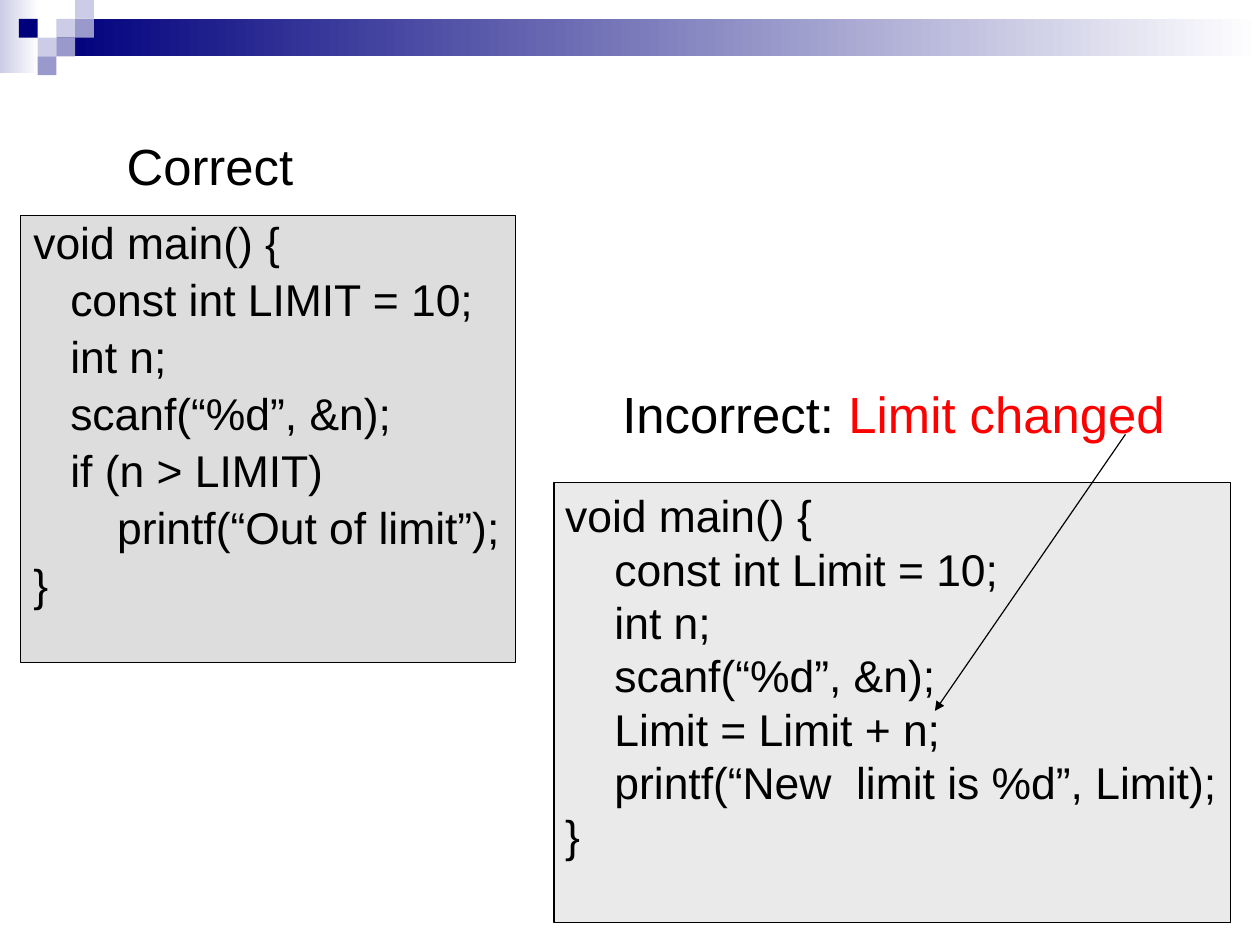
"""Build a slide that sets a correct use of a C constant beside an incorrect one."""
from lxml.etree import SubElement
from pptx import Presentation
from pptx.dml.color import RGBColor
from pptx.enum.shapes import MSO_CONNECTOR as Connector, MSO_SHAPE as Shape
from pptx.enum.text import MSO_ANCHOR as Anchor, MSO_AUTO_SIZE as AutoSize, PP_ALIGN as Align
from pptx.oxml.ns import qn
from pptx.util import Pt

WIDTH, HEIGHT = 793.75, 595.25
BLACK, RED = "000000", "FF0000"
NAVY, MID, PALE, WHITE = "00007D", "9999CC", "CCCCE6", "FFFFFF"

CORRECT_CODE = [
    "void main() {",
    "   const int LIMIT = 10;",
    "   int n;",
    "   scanf(“%d”, &n);",
    "   if (n > LIMIT)",
    "\t   printf(“Out of limit”);",
    "}",
]
INCORRECT_CODE = [
    "void main() {",
    "    const int Limit = 10;",
    "    int n;",
    "    scanf(“%d”, &n);",
    "    Limit = Limit + n;",
    "    printf(“New  limit is %d”, Limit);",
    "}",
]
LABELS = [
    ((72.7, 81.4, 138, 45), [("Correct", BLACK)]),
    ((385, 237.6, 379, 45), [("Incorrect: ", BLACK), ("Limit changed", RED)]),
]
CORRECT_BOX = (13, 135.5, 311.8, 282)
INCORRECT_BOX = (349, 304, 426, 277)
ARROW = (709, 273.6, 589, 447.8)

CELL = 11.85
FADES = [((0, 0, 24.5, 46), PALE), ((36, 11.8, WIDTH - 36, 23.5), NAVY)]
CELLS = [(3, 1, PALE), (4, 0, PALE), (4, 1, MID), (2, 2, PALE),
         (1, 1, NAVY), (3, 2, MID), (2, 3, MID)]


def rgb(hex_code):
    return RGBColor.from_string(hex_code)


def add_tile(slide, box):
    tile = slide.shapes.add_shape(Shape.RECTANGLE, *map(Pt, box))
    tile.shadow.inherit = False
    tile.line.fill.background()
    return tile


def add_header(slide):
    for box, start in FADES:
        fade = add_tile(slide, box).fill
        fade.gradient()
        fade.gradient_angle = 0
        for stop, color in zip(fade.gradient_stops, (start, WHITE)):
            stop.color.rgb = rgb(color)
    for column, row, color in CELLS:
        cell = add_tile(slide, (column * CELL, row * CELL, CELL, CELL))
        cell.fill.solid()
        cell.fill.fore_color.rgb = rgb(color)


def add_run(paragraph, text, size, color=BLACK):
    run = paragraph.add_run()
    run.text = text
    run.font.name = "Arial"
    run.font.size = Pt(size)
    run.font.color.rgb = rgb(color)


def fill_code(panel, lines, color, insets, spacing, before=0, hanging=0):
    panel.fill.solid()
    panel.fill.fore_color.rgb = rgb(color)
    panel.line.color.rgb = rgb(BLACK)
    panel.line.width = Pt(0.75)
    frame = panel.text_frame
    frame.word_wrap = True
    frame.auto_size = AutoSize.NONE
    frame.vertical_anchor = Anchor.TOP
    side, edge = map(Pt, insets)
    frame.margin_left = frame.margin_right = side
    frame.margin_top = frame.margin_bottom = edge
    for index, line in enumerate(lines):
        paragraph = frame.add_paragraph() if index else frame.paragraphs[0]
        paragraph.alignment = Align.LEFT
        paragraph.line_spacing = spacing
        paragraph.space_before = Pt(before if index else 0)
        properties = paragraph._p.get_or_add_pPr()
        properties.set("marL", str(Pt(hanging)))
        properties.set("indent", str(-Pt(hanging)))
        SubElement(properties, qn("a:buNone"))
        add_run(paragraph, line, 28)


def add_label(slide, box, parts):
    frame = slide.shapes.add_textbox(*map(Pt, box)).text_frame
    frame.word_wrap = True
    for text, color in parts:
        add_run(frame.paragraphs[0], text, 32, color)


def add_arrow(slide, ends):
    arrow = slide.shapes.add_connector(Connector.STRAIGHT, *map(Pt, ends))
    arrow.line.color.rgb = rgb(BLACK)
    arrow.line.width = Pt(0.75)
    SubElement(arrow.line._get_or_add_ln(), qn("a:tailEnd"), type="triangle")
    SubElement(arrow._element.spPr, qn("a:effectLst"))


def main():
    deck = Presentation()
    deck.slide_width, deck.slide_height = Pt(WIDTH), Pt(HEIGHT)
    slide = deck.slides.add_slide(deck.slide_layouts[1])
    title = slide.shapes.title.element
    title.getparent().remove(title)

    add_header(slide)
    correct = slide.placeholders[1]
    correct.left, correct.top, correct.width, correct.height = map(Pt, CORRECT_BOX)
    fill_code(correct, CORRECT_CODE, "DDDDDD", (8, 4), 0.9, before=5.6, hanging=29.5)
    incorrect = add_tile(slide, INCORRECT_BOX)
    fill_code(incorrect, INCORRECT_CODE, "EAEAEA", (7.2, 3.6), 1.0)
    for box, parts in LABELS:
        add_label(slide, box, parts)
    add_arrow(slide, ARROW)
    deck.save("out.pptx")


if __name__ == "__main__":
    main()
